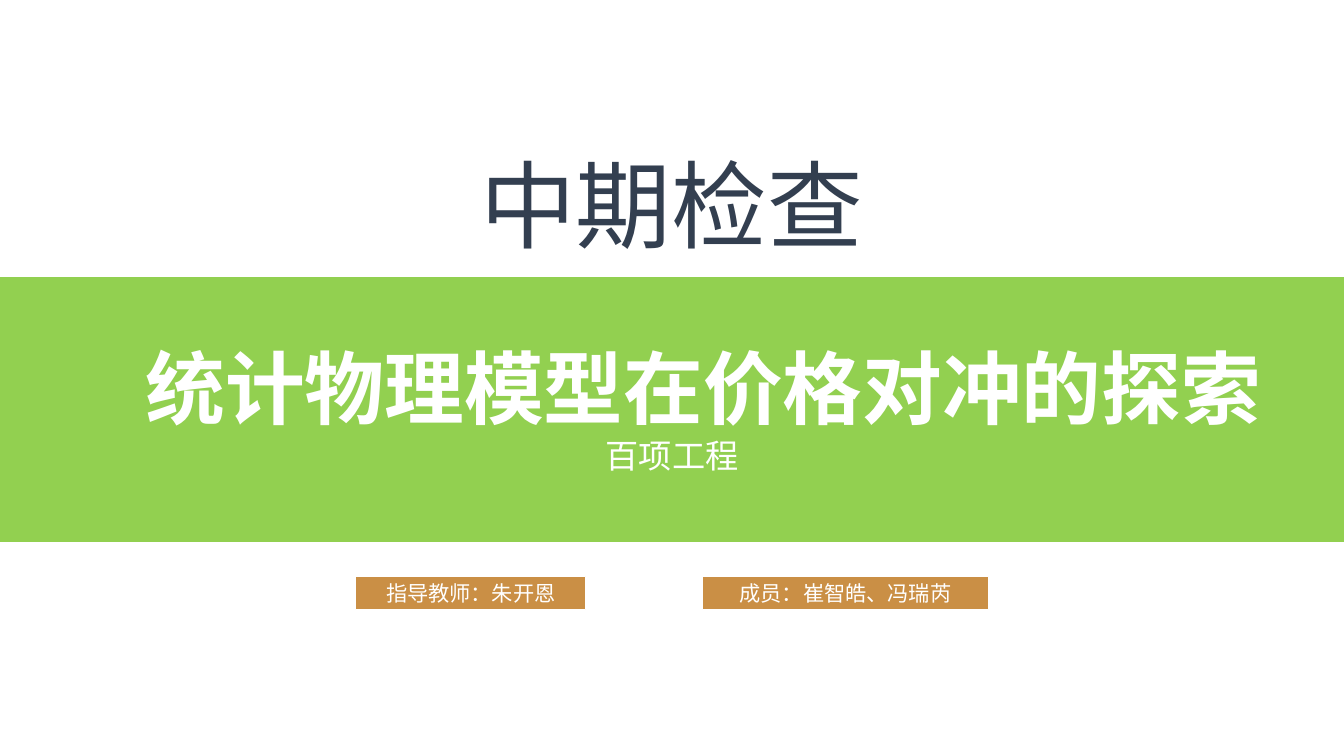
from pptx import Presentation
from pptx.dml.color import RGBColor
from pptx.enum import shapes, text
from pptx.oxml import ns
from pptx.util import Inches, Pt
from lxml import etree

COLORS = {"band": "92D050", "label": "CA8F45", "white": "FFFFFF", "heading": "333F50"}
CJK_FONT = "Noto Sans CJK SC"
SLIDE_W, SLIDE_H = 14.06, 7.91


def rgb(name):
    return RGBColor.from_string(COLORS[name])


def write(holder, wording, size, font=CJK_FONT, color="white", bold=False, inset=0):
    """Fill a shape with one centred line, using the font for Chinese too."""
    frame = holder.text_frame
    frame.word_wrap = True
    frame.auto_size = text.MSO_AUTO_SIZE.NONE
    frame.vertical_anchor = text.MSO_ANCHOR.MIDDLE
    frame.margin_left = frame.margin_right = Inches(inset)
    frame.margin_top = frame.margin_bottom = Inches(inset)
    line = frame.paragraphs[0]
    line.alignment = text.PP_ALIGN.CENTER
    run = line.add_run()
    run.text = wording
    run.font.name = font
    run.font.size = Pt(size)
    run.font.bold = bold
    run.font.color.rgb = rgb(color)
    latin = run.font._element.find(ns.qn("a:latin"))
    east_asian = etree.Element(ns.qn("a:ea"), typeface=font)
    latin.addnext(east_asian)


def add_text(slide, left, top, width, height, wording, size, **style):
    box = slide.shapes.add_textbox(*map(Inches, (left, top, width, height)))
    write(box, wording, size, **style)


def add_block(slide, left, top, width, height, fill):
    block = slide.shapes.add_shape(
        shapes.MSO_SHAPE.RECTANGLE, *map(Inches, (left, top, width, height)))
    block.shadow.inherit = False
    block.fill.solid()
    block.fill.fore_color.rgb = rgb(fill)
    block.line.fill.background()
    return block


def add_title_band(slide, left, top, width, height):
    add_block(slide, left, top, width, height, "band")
    add_text(slide, left + 1.45, top + 0.64, 11.81, 1.01,
             "统计物理模型在价格对冲的探索", 60, bold=True)
    add_text(slide, left + 3.72, top + 1.65, 6.62, 0.42, "百项工程", 25)


def add_people(slide, left, top, width, height):
    """Place the teacher at the left end and the members at the right end."""
    teacher_width, members_width = 2.41, 2.99
    people = [
        (left, teacher_width, "指导教师：朱开恩"),
        (left + width - members_width, members_width, "成员：崔智皓、冯瑞芮"),
    ]
    for label_left, label_width, wording in people:
        label = add_block(slide, label_left, top, label_width, height, "label")
        label.line.color.rgb = rgb("white")
        label.line.width = Pt(0.75)
        write(label, wording, 16, font="Arial", inset=0.04)


def main():
    deck = Presentation()
    deck.slide_width, deck.slide_height = Inches(SLIDE_W), Inches(SLIDE_H)
    cover = deck.slides.add_slide(deck.slide_layouts[6])
    add_title_band(cover, 0, 2.9, SLIDE_W, 2.77)
    add_text(cover, 4.55, 1.52, 4.95, 1.21, "中期检查", 72,
             font="Arial Narrow", color="heading")
    add_people(cover, 3.72, 6.03, 6.62, 0.35)
    deck.save("out.pptx")


if __name__ == "__main__":
    main()
